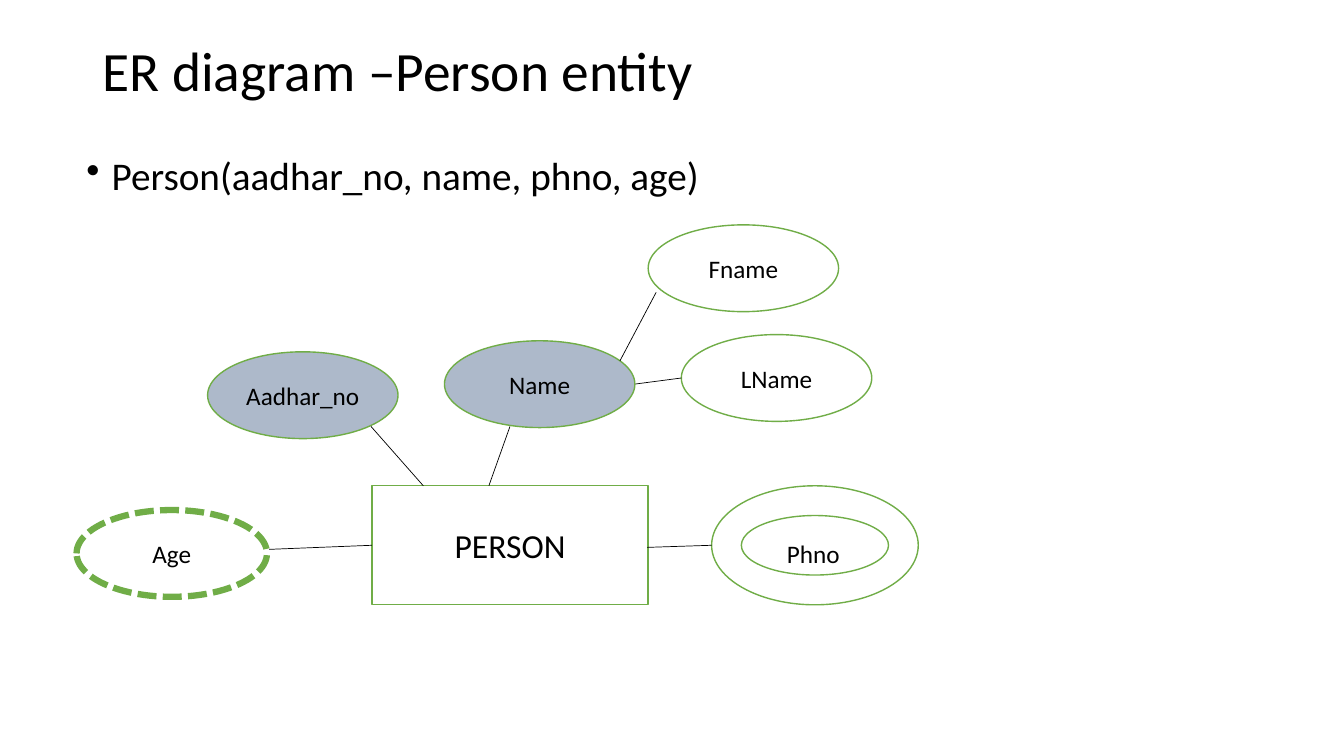
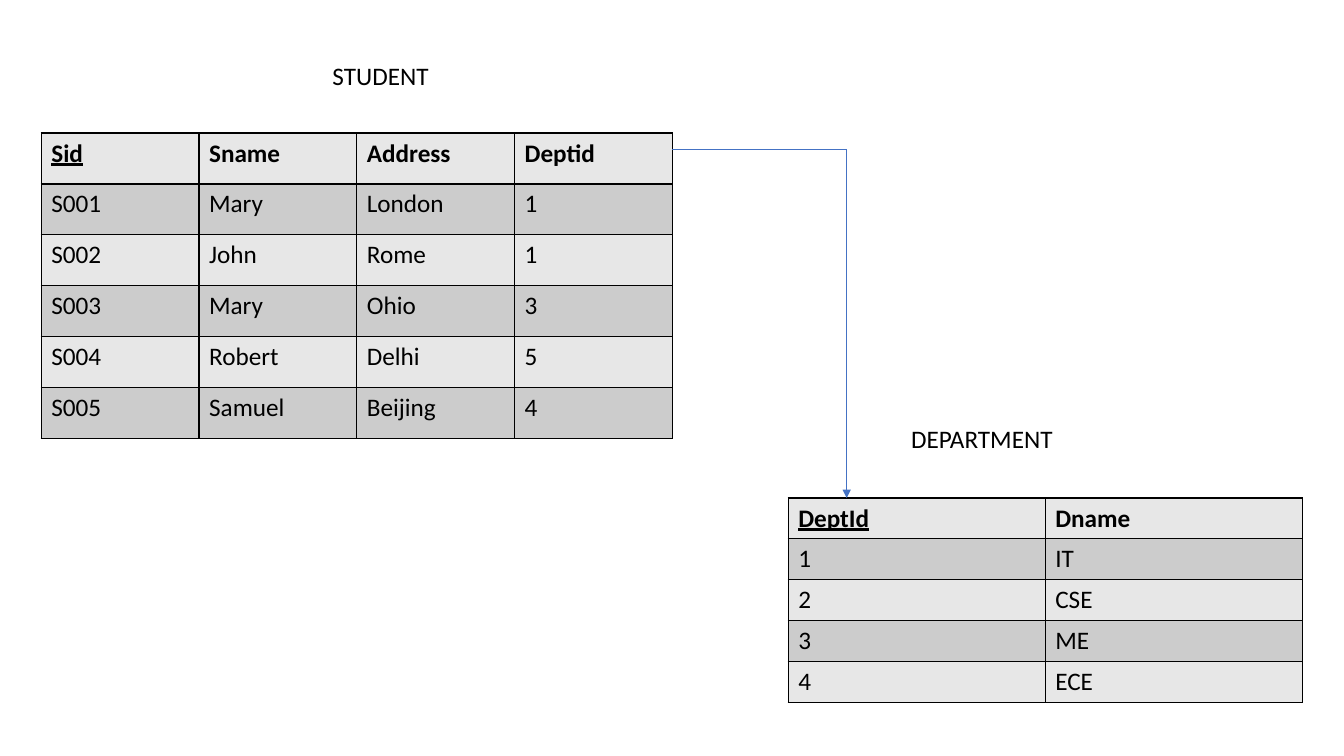
from lxml import etree
from pptx import Presentation
from pptx.dml.color import RGBColor
from pptx.enum import dml, shapes, text
from pptx.oxml import ns, parse_xml
from pptx.util import Pt

FONT = "Calibri"
BLACK, WHITE, GREEN, BLUE = "000000", "FFFFFF", "70AD47", "4472C4"
KEY_FILL = "ADB9CA"
ROW_FILLS = ["E7E7E7", "CCCCCC"]


def color(code):
    return RGBColor.from_string(code)


def write(frame, words, size=18, bold=False, underline=False, align=text.PP_ALIGN.LEFT,
          anchor=text.MSO_ANCHOR.TOP, spacing=None, bullet=False):
    frame.word_wrap = True
    frame.vertical_anchor = anchor
    para = frame.paragraphs[0]
    para.alignment = align
    para.line_spacing = spacing
    if bullet:
        props = para._p.get_or_add_pPr()
        props.set("marL", str(Pt(18)))
        props.set("indent", str(-Pt(18)))
        etree.SubElement(props, ns.qn("a:buChar")).set("char", "•")
    span = para.add_run()
    span.text = words
    font = span.font
    font.name, font.size, font.bold, font.underline = FONT, Pt(size), bold, underline
    font.color.rgb = color(BLACK)


deck = Presentation()
deck.slide_width, deck.slide_height = Pt(960), Pt(540)
diagram, tables = [deck.slides.add_slide(deck.slide_layouts[6]) for _ in range(2)]

# Entity and its attributes
kinds = shapes.MSO_SHAPE
oval = (136, 62)
nodes = [
    ("PERSON", kinds.RECTANGLE, 265.7, 347, (197.3, 85), WHITE, 24),
    ("Aadhar_no", kinds.OVAL, 148.3, 251.3, oval, KEY_FILL, 18),
    ("Name", kinds.OVAL, 317.5, 243.4, oval, KEY_FILL, 18),
    ("Fname", kinds.OVAL, 463, 160.6, oval, WHITE, 18),
    ("LName", kinds.OVAL, 486.7, 239, oval, WHITE, 18),
    ("Age", kinds.OVAL, 54.7, 364.3, oval, WHITE, 18),
    ("", kinds.DONUT, 508.3, 347, (147.6, 85), WHITE, 18),
]
for label, kind, left, top, (width, height), fill, size in nodes:
    node = diagram.shapes.add_shape(kind, Pt(left), Pt(top), Pt(width), Pt(height))
    node.shadow.inherit = False
    node.fill.solid()
    node.fill.fore_color.rgb = color(fill)
    node.line.color.rgb = color(GREEN)
    node.line.width = Pt(1)
    if label == "Age":  # derived attribute
        node.line.width = Pt(4.5)
        node.line.dash_style = dml.MSO_LINE.SQUARE_DOT
    if label:
        write(node.text_frame, label, size=size, align=text.PP_ALIGN.CENTER,
              anchor=text.MSO_ANCHOR.MIDDLE)

# Relations as tables
students = [
    ["Sid", "Sname", "Address", "Deptid"],
    ["S001", "Mary", "London", "1"],
    ["S002", "John", "Rome", "1"],
    ["S003", "Mary", "Ohio", "3"],
    ["S004", "Robert", "Delhi", "5"],
    ["S005", "Samuel", "Beijing", "4"],
]
departments = [["DeptId", "Dname"], ["1", "IT"], ["2", "CSE"], ["3", "ME"], ["4", "ECE"]]
for rows, left, top, column_width, row_height in [
    (students, 29.5, 95, 112.7, 36.4),
    (departments, 563, 355.7, 183.6, 29.2),
]:
    count = len(rows[0])
    grid = tables.shapes.add_table(len(rows), count, Pt(left), Pt(top),
                                   Pt(column_width * count), Pt(row_height * len(rows))).table
    grid.first_row = grid.horz_banding = False
    for column in grid.columns:
        column.width = Pt(column_width)
    for r, row in enumerate(rows):
        grid.rows[r].height = Pt(row_height)
        for c, value in enumerate(row):
            cell = grid.cell(r, c)
            write(cell.text_frame, value, bold=r == 0, underline=r == c == 0)
            for side in "LRTB":
                cell._tc.get_or_add_tcPr().append(parse_xml(
                    f'<a:ln{side} {ns.nsdecls("a")} w="{Pt(1)}"><a:solidFill>'
                    f'<a:srgbClr val="{BLACK}"/></a:solidFill></a:ln{side}>'))
            cell.fill.solid()
            cell.fill.fore_color.rgb = color(ROW_FILLS[r % 2])

# Title, bullet and captions
middle = text.MSO_ANCHOR.MIDDLE
for page, words, left, top, width, height, style in [
    (diagram, "ER diagram –Person entity", 66.2, 28.8, 828, 47.5,
     dict(size=39.6, spacing=0.9, anchor=middle)),
    (diagram, "Person(aadhar_no, name, phno, age)", 54.7, 108, 828, 47.5,
     dict(size=28, spacing=0.9, bullet=True)),
    (diagram, "Phno", 555, 381, 57.6, 29, {}),
    (tables, "STUDENT", 230.4, 39.6, 160.6, 29, {}),
    (tables, "DEPARTMENT", 643.7, 298.8, 160.6, 29, {}),
]:
    box = page.shapes.add_textbox(Pt(left), Pt(top), Pt(width), Pt(height))
    write(box.text_frame, words, **style)

# Links between attributes, and the foreign key
for page, start, end, code, arrow in [
    (diagram, (265, 304.6), (302.4, 347), BLACK, False),
    (diagram, (364.3, 304.6), (349.2, 347), BLACK, False),
    (diagram, (468.7, 208.8), (442.8, 257.8), BLACK, False),
    (diagram, (486.7, 270), (454, 274.3), BLACK, False),
    (diagram, (508.3, 389.5), (462.2, 391), BLACK, False),
    (diagram, (265.7, 389.5), (192.2, 392.4), BLACK, False),
    (tables, (480.2, 106.6), (604.8, 106.6), BLUE, False),
    (tables, (604.8, 106.6), (604.8, 355.7), BLUE, True),
]:
    link = page.shapes.add_connector(shapes.MSO_CONNECTOR.STRAIGHT,
                                     *[Pt(value) for value in start + end])
    link.line.color.rgb = color(code)
    link.line.width = Pt(0.5)
    if arrow:
        etree.SubElement(link.line._get_or_add_ln(), ns.qn("a:tailEnd")).set("type", "triangle")
    etree.SubElement(link._element.spPr, ns.qn("a:effectLst"))

deck.save("out.pptx")
